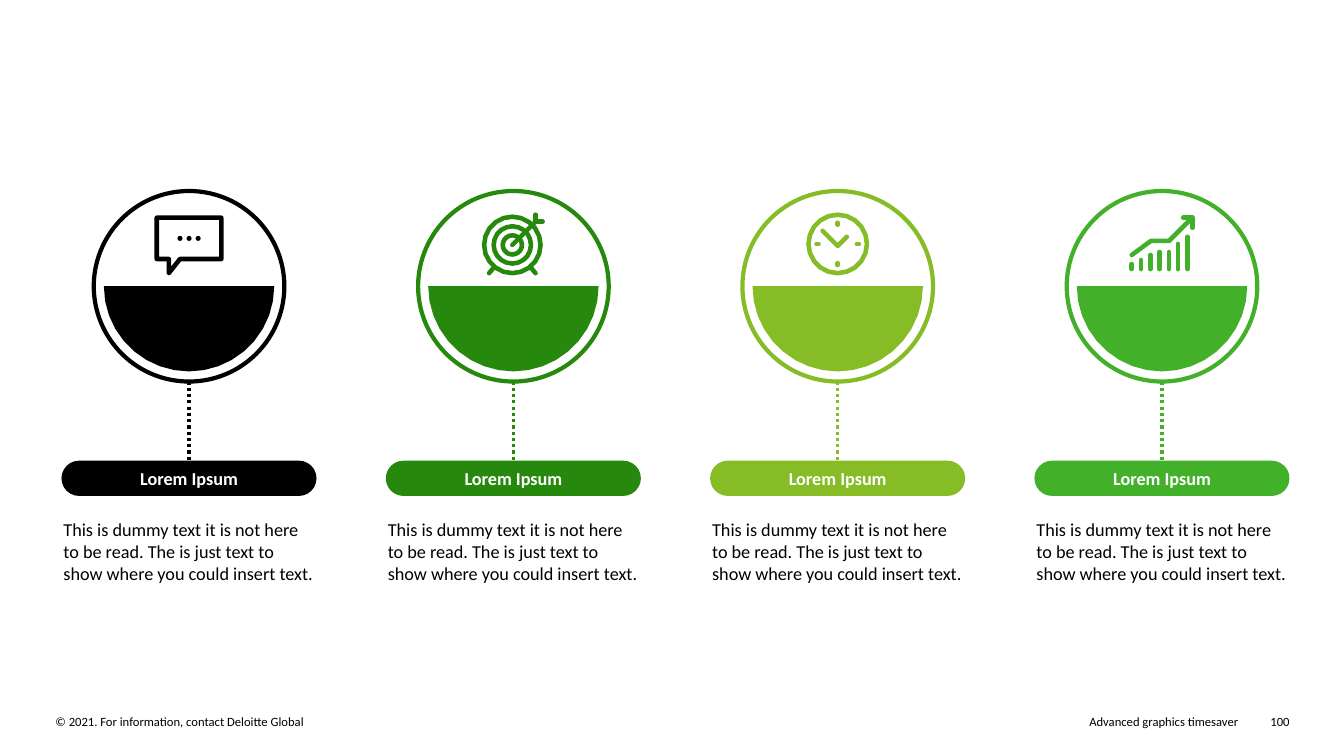
from math import cos, radians, sin

from lxml.etree import SubElement
from pptx import Presentation
from pptx.dml.color import RGBColor
from pptx.enum.dml import MSO_LINE
from pptx.enum.shapes import MSO_CONNECTOR, MSO_SHAPE
from pptx.enum.text import MSO_ANCHOR, PP_ALIGN
from pptx.oxml.ns import qn
from pptx.util import Inches, Pt

COLORS = {
    "black": "000000",
    "white": "FFFFFF",
    "forest": "26890D",
    "lime": "86BC25",
    "green": "43B02A",
}
FONT = "Calibri"
HEADING = "Lorem Ipsum"
BODY = (
    "This is dummy text it is not here to be read. "
    "The is just text to show where you could insert text."
)
LEFT, PITCH, WIDTH = 0.61, 9.65 / 3, 2.53
RING_Y, RING_R, BOWL_R = 2.84, 0.945, 0.845
ICON_Y, PILL_Y, BODY_Y = 2.42, 4.57, 5.14


def rgb(name):
    return RGBColor.from_string(COLORS[name])


def arc(r, end, steps):
    angles = [radians(end * i / steps) for i in range(steps + 1)]
    return [(r * cos(a), r * sin(a)) for a in angles]


def bubble_icon():
    return [[
        (-0.32, -0.26), (0.32, -0.26), (0.32, 0.15), (-0.09, 0.15),
        (-0.2, 0.29), (-0.2, 0.15), (-0.32, 0.15), (-0.32, -0.26),
    ]]


def target_icon():
    rings = [arc(r, 360, 20) for r in (0.28, 0.185, 0.095)]
    shaft = [(0, 0), (0.23, -0.23)]
    fletching = [(0.23, -0.3), (0.23, -0.23), (0.3, -0.23)]
    legs = [[(side * 0.18, 0.22), (side * 0.23, 0.28)] for side in (-1, 1)]
    strokes = rings + [shaft, fletching] + legs
    return [[(x - 0.01, y + 0.01) for x, y in stroke] for stroke in strokes]


def clock_icon():
    hands = [(-0.15, -0.13), (0, 0.02), (0.09, -0.07)]
    ticks = [
        [(dx * 0.19, dy * 0.19), (dx * 0.21, dy * 0.21)]
        for dx, dy in ((1, 0), (0, 1), (-1, 0), (0, -1))
    ]
    return [arc(0.29, 360, 20), hands] + ticks


def growth_icon():
    trend = [(-0.3, 0.11), (-0.11, -0.03), (0.07, -0.03), (0.3, -0.26)]
    head = [(0.21, -0.26), (0.3, -0.26), (0.3, -0.16)]
    tops = (0.2, 0.16, 0.11, 0.08, 0.08, 0, -0.07)
    bars = []
    for i, top in enumerate(tops):
        x = -0.3 + 0.092 * i
        bars.append([(x, top), (x, 0.25)])
    return [trend, head] + bars


def fill_shape(sp, color):
    sp.shadow.inherit = False
    sp.fill.solid()
    sp.fill.fore_color.rgb = rgb(color)
    sp.line.fill.background()


def stroke_shape(sp, color, width):
    sp.shadow.inherit = False
    sp.fill.background()
    sp.line.color.rgb = rgb(color)
    sp.line.width = Pt(width)


def add_freeform(s, strokes, x, y, close=False):
    scaled = [[(Inches(x + dx), Inches(y + dy)) for dx, dy in c] for c in strokes]
    builder = s.shapes.build_freeform(*scaled[0][0])
    builder.add_line_segments(scaled[0][1:], close=close)
    for stroke in scaled[1:]:
        builder.move_to(*stroke[0])
        builder.add_line_segments(stroke[1:], close=close)
    return builder.convert_to_shape()


def add_icon(s, strokes, x, color):
    sp = add_freeform(s, strokes, x, ICON_Y)
    stroke_shape(sp, color, 3.25)
    ln = sp._element.spPr.find(qn("a:ln"))
    ln.set("cap", "rnd")
    SubElement(ln, qn("a:round"))


def add_circle(s, x, y, r):
    return s.shapes.add_shape(
        MSO_SHAPE.OVAL, Inches(x - r), Inches(y - r), Inches(2 * r), Inches(2 * r)
    )


def add_stem(s, x, color):
    line = s.shapes.add_connector(
        MSO_CONNECTOR.STRAIGHT, Inches(x), Inches(RING_Y + RING_R), Inches(x), Inches(PILL_Y)
    )
    line.line.color.rgb = rgb(color)
    line.line.width = Pt(2.25)
    line.line.dash_style = MSO_LINE.ROUND_DOT
    SubElement(line._element.spPr, qn("a:effectLst"))


def write(tf, text, size, color="black", align=PP_ALIGN.LEFT, bold=False):
    tf.word_wrap = True
    p = tf.paragraphs[0]
    p.text = text
    p.alignment = align
    p.font.name = FONT
    p.font.size = Pt(size)
    p.font.bold = bold
    p.font.color.rgb = rgb(color)


def add_pill(s, left, color):
    sp = s.shapes.add_shape(
        MSO_SHAPE.ROUNDED_RECTANGLE, Inches(left), Inches(PILL_Y), Inches(WIDTH), Inches(0.35)
    )
    sp.adjustments[0] = 0.5
    fill_shape(sp, color)
    sp.text_frame.vertical_anchor = MSO_ANCHOR.MIDDLE
    write(sp.text_frame, HEADING, 13, "white", PP_ALIGN.CENTER, True)


def add_text(s, left, top, width, height, text, size, align=PP_ALIGN.LEFT, inset=0):
    sp = s.shapes.add_textbox(Inches(left), Inches(top), Inches(width), Inches(height))
    tf = sp.text_frame
    tf.margin_left = tf.margin_right = Inches(inset)
    tf.margin_top = tf.margin_bottom = 0
    write(tf, text, size, align=align)


def add_column(s, index, color, icon):
    left = LEFT + PITCH * index
    x = left + WIDTH / 2
    stroke_shape(add_circle(s, x, RING_Y, RING_R), color, 3)
    fill_shape(add_freeform(s, [arc(BOWL_R, 180, 18)], x, RING_Y, True), color)
    add_stem(s, x, color)
    add_icon(s, icon(), x, color)
    add_pill(s, left, color)
    add_text(s, left, BODY_Y, WIDTH, 0.66, BODY, 13, inset=0.02)


def main():
    prs = Presentation()
    prs.slide_width, prs.slide_height = Inches(13.33), Inches(7.5)
    s = prs.slides.add_slide(prs.slide_layouts[6])
    columns = [
        ("black", bubble_icon), ("forest", target_icon),
        ("lime", clock_icon), ("green", growth_icon),
    ]
    for i, (color, icon) in enumerate(columns):
        add_column(s, i, color, icon)
    for i in (-1, 0, 1):
        fill_shape(add_circle(s, LEFT + WIDTH / 2 + 0.09 * i, 2.365, 0.025), "black")
    add_text(s, 0.55, 7.08, 5.86, 0.15, "© 2021. For information, contact Deloitte Global", 9)
    add_text(s, 6.93, 7.08, 5.35, 0.15, "Advanced graphics timesaver", 9, PP_ALIGN.RIGHT)
    add_text(s, 12.45, 7.08, 0.34, 0.15, "100", 9, PP_ALIGN.RIGHT)
    prs.save("out.pptx")


if __name__ == "__main__":
    main()
